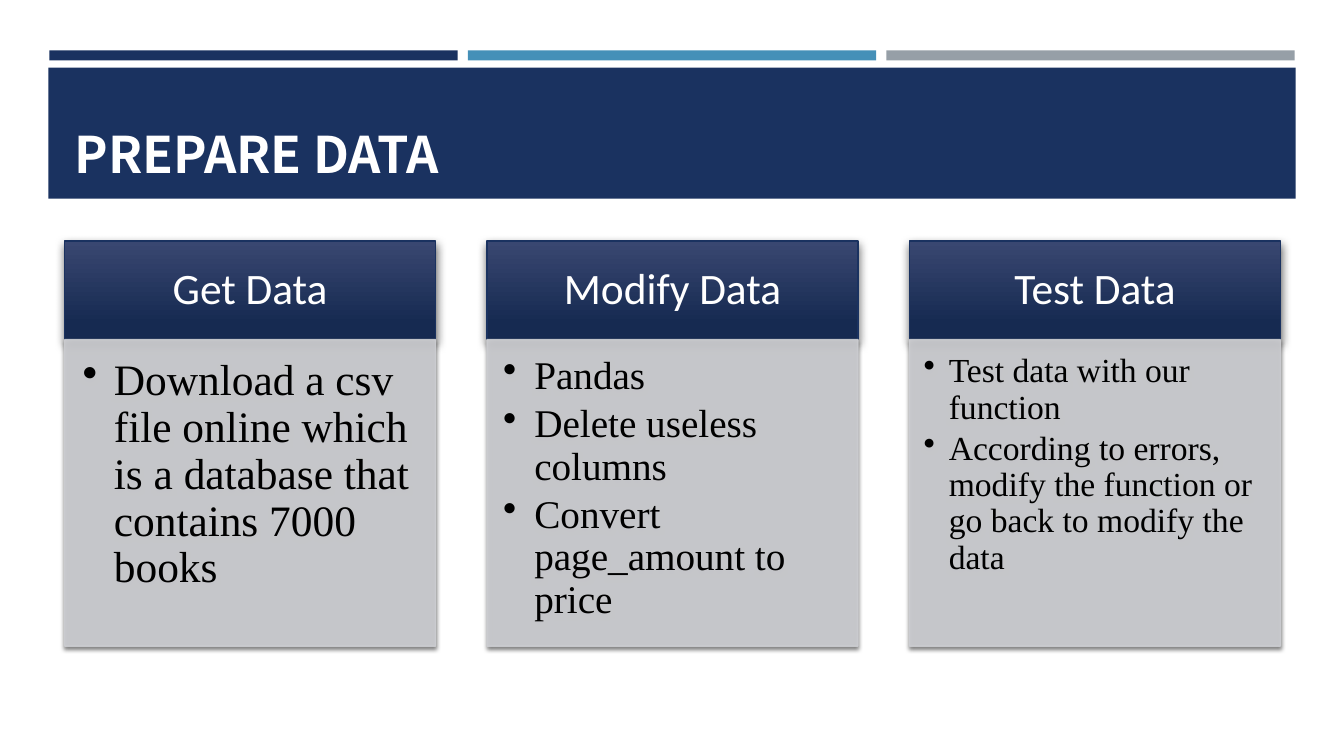
from dataclasses import dataclass

from lxml import etree
from pptx import Presentation
from pptx.dml.color import RGBColor
from pptx.enum.shapes import MSO_SHAPE
from pptx.enum.text import MSO_ANCHOR, PP_ALIGN
from pptx.oxml.ns import qn
from pptx.util import Inches, Pt

RECTANGLE = MSO_SHAPE.RECTANGLE
TOP, MIDDLE, BOTTOM = MSO_ANCHOR.TOP, MSO_ANCHOR.MIDDLE, MSO_ANCHOR.BOTTOM
LEFT, CENTER = PP_ALIGN.LEFT, PP_ALIGN.CENTER

NAVY, BLUE, GREY = "1A3260", "4590B8", "969FA7"
HEADER_TOP_COLOR, HEADER_BOTTOM_COLOR = "394771", "162A51"
PANEL, WHITE, BLACK = "CDCED2", "FFFFFF", "000000"

BAR_LEFT, BAR_STEP = 0.49, 4.15
CARD_LEFT, CARD_STEP, CARD_WIDTH = 0.64, 4.19, 3.68
HEADER_TOP, HEADER_HEIGHT = 2.39, 0.98
BODY_HEIGHT = 3.04


@dataclass
class Card:
    heading: str
    bullets: list[str]
    size: int
    indent: float
    insets: tuple[float, float, float, float]


@dataclass
class Shadow:
    opacity: int
    blur: float
    distance: float
    angle: int


CARDS = [
    Card("Get Data",
         ["Download a csv file online which is a database that contains 7000 books"],
         31, 0.31, (0.18, 0.18, 0.24, 0.27)),
    Card("Modify Data",
         ["Pandas", "Delete useless columns", "Convert page_amount to price"],
         28, 0.31, (0.16, 0.16, 0.22, 0.24)),
    Card("Test Data",
         ["Test data with our function",
          "According to errors, modify the function or go back to modify the data"],
         24, 0.25, (0.14, 0.14, 0.19, 0.21)),
]
HEADER_SHADOW = Shadow(60, 7, 3, 84)
BODY_SHADOW = Shadow(55, 3, 2, 90)


def color(value: str) -> RGBColor:
    return RGBColor.from_string(value)


def add_rectangle(page, left: float, top: float, width: float, height: float,
                  fill: str, line: str | None = None):
    box = page.shapes.add_shape(RECTANGLE, Inches(left), Inches(top),
                                Inches(width), Inches(height))
    box.shadow.inherit = False
    box.fill.solid()
    box.fill.fore_color.rgb = color(fill)
    if line:
        box.line.color.rgb = color(line)
        box.line.width = Pt(1)
    else:
        box.line.fill.background()
    return box


def set_gradient(box, start: str, end: str) -> None:
    box.fill.gradient()
    box.fill.gradient_angle = 270
    for stop, position, value in zip(box.fill.gradient_stops, (0, 0.84), (start, end)):
        stop.position = position
        stop.color.rgb = color(value)


def set_opacity(box, percent: int) -> None:
    for tint in box.element.spPr.iter(qn("a:srgbClr")):
        etree.SubElement(tint, qn("a:alpha"), val=str(percent * 1000))


def add_shadow(box, shadow: Shadow) -> None:
    effects = box.element.spPr.find(qn("a:effectLst"))
    outer = etree.SubElement(
        effects, qn("a:outerShdw"), blurRad=str(Pt(shadow.blur)),
        dist=str(Pt(shadow.distance)), dir=str(shadow.angle * 60000),
        algn="ctr", rotWithShape="0")
    tint = etree.SubElement(outer, qn("a:srgbClr"), val=BLACK)
    etree.SubElement(tint, qn("a:alpha"), val=str(shadow.opacity * 1000))


def write_text(box, lines: list[str], font: str, size: int, ink: str,
               anchor, align, insets: tuple[float, float, float, float],
               bold: bool = False) -> None:
    frame = box.text_frame
    frame.word_wrap = True
    frame.vertical_anchor = anchor
    (frame.margin_left, frame.margin_top,
     frame.margin_right, frame.margin_bottom) = map(Inches, insets)
    frame.text = "\n".join(lines)
    for para in frame.paragraphs:
        para.alignment = align
        para.line_spacing = 0.9
        para.font.name = font
        para.font.size = Pt(size)
        para.font.bold = bold
        para.font.color.rgb = color(ink)


def add_bullets(box, indent: float, gap: float) -> None:
    for para in box.text_frame.paragraphs:
        para.space_after = Pt(gap)
        properties = para._p.get_or_add_pPr()
        properties.set("marL", str(Inches(indent)))
        properties.set("indent", str(-Inches(indent)))
        bullet = etree.Element(qn("a:buChar"), char="•")
        properties.find(qn("a:defRPr")).addprevious(bullet)


def add_card(page, card: Card, left: float) -> None:
    header = add_rectangle(page, left, HEADER_TOP, CARD_WIDTH, HEADER_HEIGHT, NAVY, NAVY)
    set_gradient(header, HEADER_TOP_COLOR, HEADER_BOTTOM_COLOR)
    add_shadow(header, HEADER_SHADOW)
    write_text(header, [card.heading], "Calibri", 31, WHITE, MIDDLE, CENTER,
               (0.24, 0.14, 0.24, 0.14))

    body = add_rectangle(page, left, HEADER_TOP + HEADER_HEIGHT, CARD_WIDTH,
                         BODY_HEIGHT, PANEL, PANEL)
    set_opacity(body, 90)
    add_shadow(body, BODY_SHADOW)
    write_text(body, card.bullets, "Times New Roman", card.size, BLACK, TOP, LEFT,
               card.insets)
    add_bullets(body, card.indent, round(card.size * 0.15, 1))


def main() -> None:
    deck = Presentation()
    deck.slide_width, deck.slide_height = Inches(13.33), Inches(7.5)
    page = deck.slides.add_slide(deck.slide_layouts[6])

    # Colour bars across the top
    for index, fill in enumerate((NAVY, BLUE, GREY)):
        add_rectangle(page, BAR_LEFT + index * BAR_STEP, 0.5, 4.05, 0.1, fill)

    # Title band
    add_rectangle(page, 0.48, 0.67, 12.37, 1.3, NAVY)
    title = page.shapes.add_textbox(Inches(0.64), Inches(0.77), Inches(12.06), Inches(1.11))
    write_text(title, ["PREPARE DATA"], "Noto Sans CJK SC", 36, WHITE, BOTTOM, LEFT,
               (0.1, 0.05, 0.1, 0.05), bold=True)

    # Three step cards
    for index, card in enumerate(CARDS):
        add_card(page, card, CARD_LEFT + index * CARD_STEP)

    deck.save("out.pptx")


if __name__ == "__main__":
    main()
